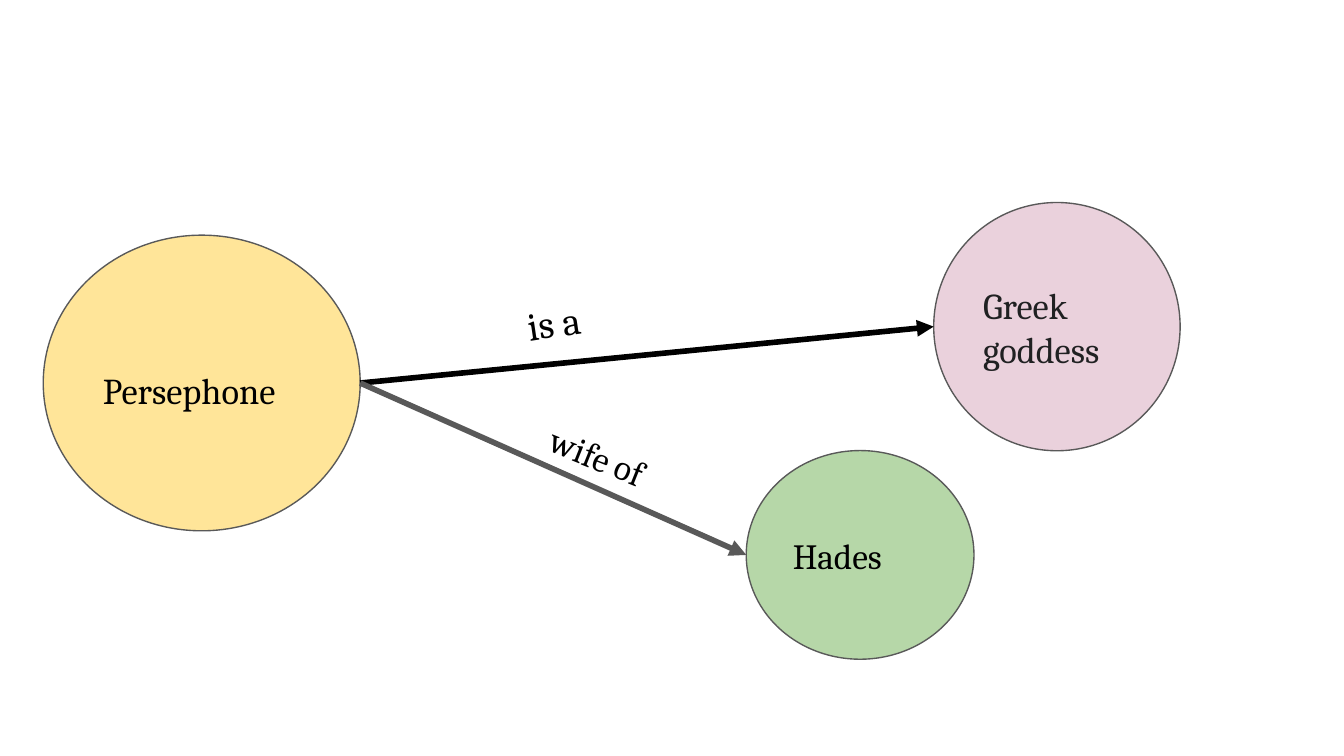
from dataclasses import dataclass

from lxml.etree import SubElement
from pptx import Presentation
from pptx.dml.color import RGBColor
from pptx.enum.shapes import MSO_CONNECTOR as Connector, MSO_SHAPE as Preset
from pptx.enum.text import MSO_ANCHOR as Anchor, PP_ALIGN as Align
from pptx.oxml.ns import qn
from pptx.slide import Slide
from pptx.text.text import TextFrame
from pptx.util import Pt


@dataclass(frozen=True)
class Theme:
    font: str = "Cambria"
    black: str = "000000"
    charcoal: str = "202122"
    gray: str = "595959"
    yellow: str = "FFE599"
    pink: str = "EAD1DC"
    green: str = "B6D7A8"
    small: float = 19
    medium: float = 19.5
    large: float = 21
    outline: float = 0.75
    arrow: float = 3
    inset: float = 7.2


@dataclass(frozen=True)
class Label:
    text: str
    size: float
    color: str
    line_spacing: float = 1.0
    space_after: float = 0


@dataclass(frozen=True)
class Box:
    left: float
    top: float
    width: float
    height: float

    @property
    def middle(self) -> float:
        return self.top + self.height / 2

    @property
    def right(self) -> float:
        return self.left + self.width

    def lengths(self) -> list[Pt]:
        return [Pt(value) for value in (self.left, self.top, self.width, self.height)]


@dataclass(frozen=True)
class Entity:
    box: Box
    fill: str
    label: Label


@dataclass(frozen=True)
class Relation:
    source: Entity
    target: Entity
    color: str
    label: Label
    label_box: Box
    rotation: float


THEME = Theme()


def write_label(frame: TextFrame, label: Label, anchor: Anchor) -> None:
    frame.word_wrap = True
    frame.vertical_anchor = anchor
    frame.margin_left = frame.margin_right = Pt(THEME.inset)
    frame.margin_top = frame.margin_bottom = Pt(THEME.inset)
    paragraph = frame.paragraphs[0]
    paragraph.alignment = Align.LEFT
    paragraph.line_spacing = label.line_spacing
    paragraph.space_after = Pt(label.space_after)
    run = paragraph.add_run()
    run.text = label.text
    run.font.name = THEME.font
    run.font.size = Pt(label.size)
    run.font.color.rgb = RGBColor.from_string(label.color)


def draw_entity(slide: Slide, entity: Entity) -> None:
    shape = slide.shapes.add_shape(Preset.OVAL, *entity.box.lengths())
    shape.shadow.inherit = False
    shape.fill.solid()
    shape.fill.fore_color.rgb = RGBColor.from_string(entity.fill)
    shape.line.color.rgb = RGBColor.from_string(THEME.gray)
    shape.line.width = Pt(THEME.outline)
    write_label(shape.text_frame, entity.label, Anchor.MIDDLE)


def draw_relation(slide: Slide, relation: Relation) -> None:
    start, end = relation.source.box, relation.target.box
    arrow = slide.shapes.add_connector(
        Connector.STRAIGHT, Pt(start.right), Pt(start.middle), Pt(end.left), Pt(end.middle)
    )
    arrow.line.color.rgb = RGBColor.from_string(relation.color)
    arrow.line.width = Pt(THEME.arrow)
    SubElement(arrow.line._get_or_add_ln(), qn("a:tailEnd"), type="triangle")
    SubElement(arrow._element.spPr, qn("a:effectLst"))
    text_box = slide.shapes.add_textbox(*relation.label_box.lengths())
    text_box.rotation = relation.rotation
    write_label(text_box.text_frame, relation.label, Anchor.TOP)


def main() -> None:
    persephone = Entity(
        Box(23.2, 126, 169.8, 158.4),
        THEME.yellow,
        Label("Persephone", THEME.medium, THEME.black, 1.3, 6),
    )
    goddess = Entity(
        Box(500.2, 108.5, 132, 133),
        THEME.pink,
        Label("Greek goddess", THEME.medium, THEME.charcoal),
    )
    hades = Entity(
        Box(399.8, 241.4, 122, 111.8),
        THEME.green,
        Label("Hades", THEME.small, THEME.black),
    )
    relations = [
        Relation(
            persephone, goddess, THEME.black,
            Label("is a ", THEME.large, THEME.black),
            Box(274.3, 141.8, 187.2, 37.4), 351.4,
        ),
        Relation(
            persephone, hades, THEME.gray,
            Label("wife of", THEME.small, THEME.black),
            Box(284.4, 244.8, 167.8, 31.7), 21.9,
        ),
    ]

    presentation = Presentation()
    presentation.slide_width, presentation.slide_height = Pt(720), Pt(405)
    slide = presentation.slides.add_slide(presentation.slide_layouts[6])
    for entity in (persephone, goddess, hades):
        draw_entity(slide, entity)
    for relation in relations:
        draw_relation(slide, relation)
    presentation.save("out.pptx")


main()
